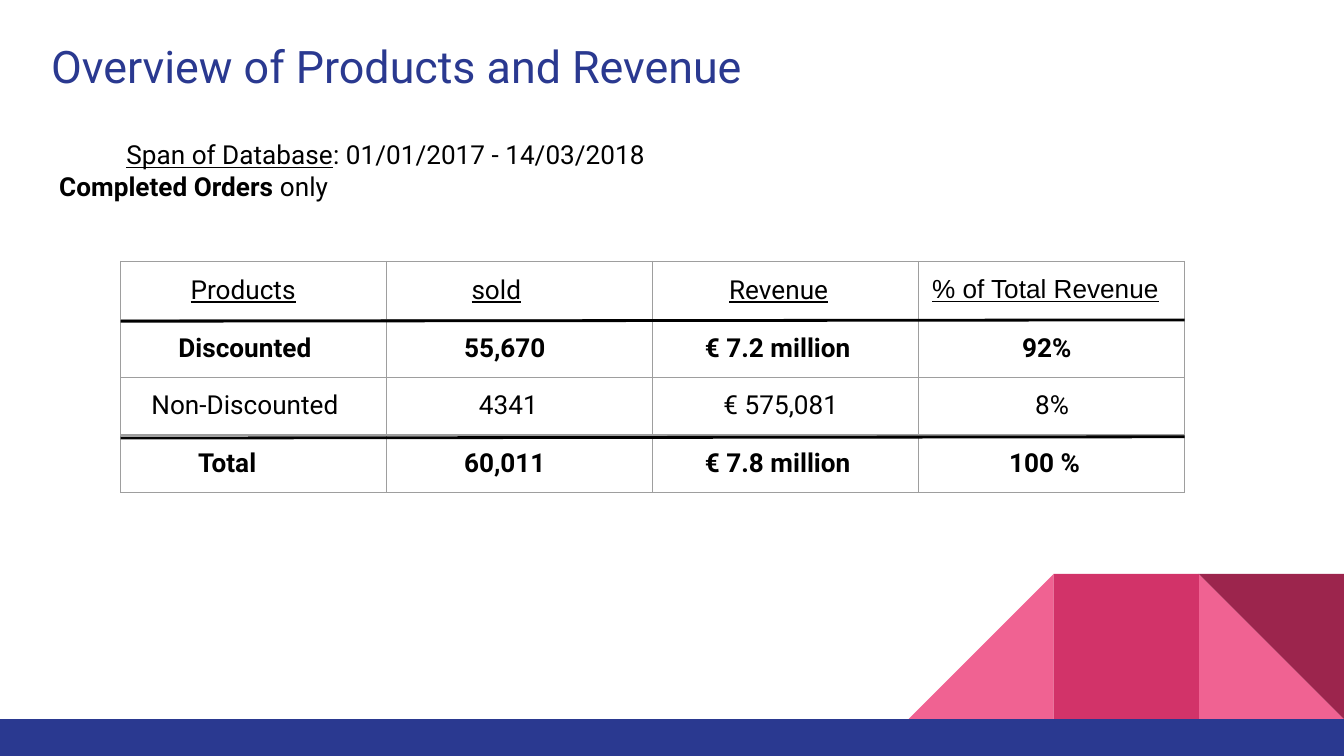
from lxml.etree import SubElement
from pptx import Presentation
from pptx.dml.color import RGBColor
from pptx.enum.shapes import MSO_CONNECTOR, MSO_SHAPE
from pptx.enum.text import MSO_ANCHOR, MSO_AUTO_SIZE, PP_ALIGN
from pptx.oxml.ns import qn
from pptx.util import Pt

NAVY, PINK, ROSE, WINE = "2A3990", "F06292", "D23369", "9C254D"
BLACK, GREY = "000000", "9E9E9E"
INSET = 7.2


def rgb(value):
    return RGBColor.from_string(value)


def add_text(paragraph, text, size=14, font="Roboto", color=BLACK, bold=False, underline=False):
    run = paragraph.add_run()
    run.text = text
    run.font.size = Pt(size)
    run.font.name = font
    run.font.color.rgb = rgb(color)
    run.font.bold = bold
    run.font.underline = underline


deck = Presentation()
deck.slide_width, deck.slide_height = Pt(720), Pt(405)
slide = deck.slides.add_slide(deck.slide_layouts[1])

# Corner decoration and bottom band
SIDE, CORNER_TOP, BAND_TOP = 77.75, 307.5, 385.25
corner_left = 720 - 3 * SIDE
decoration = [
    (MSO_SHAPE.RIGHT_TRIANGLE, corner_left + 2 * SIDE, CORNER_TOP, SIDE, SIDE, PINK, 0, False),
    (MSO_SHAPE.RIGHT_TRIANGLE, corner_left, CORNER_TOP, SIDE, SIDE, PINK, 0, True),
    (MSO_SHAPE.RECTANGLE, corner_left + SIDE, CORNER_TOP, SIDE, SIDE, ROSE, 0, False),
    (MSO_SHAPE.RIGHT_TRIANGLE, corner_left + 2 * SIDE, CORNER_TOP, SIDE, SIDE, WINE, 180, False),
    (MSO_SHAPE.RECTANGLE, 0, BAND_TOP, 720, 405 - BAND_TOP, NAVY, 0, False),
]
for kind, left, top, width, height, color, rotation, mirrored in decoration:
    piece = slide.shapes.add_shape(kind, Pt(left), Pt(top), Pt(width), Pt(height))
    piece.shadow.inherit = False
    piece.fill.solid()
    piece.fill.fore_color.rgb = rgb(color)
    piece.line.fill.background()
    piece.rotation = rotation
    if mirrored:
        piece._element.spPr.find(qn("a:xfrm")).set("flipH", "1")

# Heading and scope of the data
heading, scope = slide.shapes.title, slide.placeholders[1]
for holder, left, top, width, height in [
    (heading, 20.2, 13.7, 554.4, 44),
    (scope, 24.5, 67, 671, 112.3),
]:
    holder.left, holder.top, holder.width, holder.height = Pt(left), Pt(top), Pt(width), Pt(height)
    frame = holder.text_frame
    frame.word_wrap = True
    frame.auto_size = MSO_AUTO_SIZE.NONE
    frame.vertical_anchor = MSO_ANCHOR.TOP
    frame.margin_left = frame.margin_right = frame.margin_top = frame.margin_bottom = Pt(INSET)

heading_line = heading.text_frame.paragraphs[0]
heading_line.alignment = PP_ALIGN.LEFT
add_text(heading_line, "Overview of Products and Revenue", size=24, color=NAVY)

span_line = scope.text_frame.paragraphs[0]
orders_line = scope.text_frame.add_paragraph()
for line, indent in [(span_line, 36), (orders_line, 0)]:
    line.space_before = Pt(0)
    properties = line._p.get_or_add_pPr()
    properties.set("marL", "0")
    properties.set("indent", str(Pt(indent)))
    SubElement(properties, qn("a:buNone"))
add_text(span_line, "Span of Database", underline=True)
add_text(span_line, ": 01/01/2017 - 14/03/2018")
add_text(orders_line, "Completed Orders", bold=True)
add_text(orders_line, " only")

# Sales table: each entry is its text and its left margin
TABLE_LEFT, TABLE_TOP, COLUMN, ROW = 64.6, 140.1, 142.5, 30.9
sales = [
    [("Products", 37.5), ("sold", 45.5), ("Revenue", 41), ("% of Total Revenue", 7.2)],
    [("Discounted", 31), ("55,670", 41.5), ("€ 7.2 million", 28), ("92%", 55.5)],
    [("Non-Discounted", 16.5), ("4341", 49.5), ("€ 575,081", 38), ("8%", 62.5)],
    [("Total", 41.5), ("60,011", 41.5), ("€ 7.8 million", 28), ("100 %", 48.5)],
]
bold_rows = (1, 3)
table = slide.shapes.add_table(
    4, 4, Pt(TABLE_LEFT), Pt(TABLE_TOP), Pt(4 * COLUMN), Pt(4 * ROW)
).table
table.first_row = table.horz_banding = False
for column in table.columns:
    column.width = Pt(COLUMN)
for row_number, entries in enumerate(sales):
    table.rows[row_number].height = Pt(ROW)
    for column_number, (text, margin) in enumerate(entries):
        cell = table.cell(row_number, column_number)
        cell.margin_left = Pt(margin)
        cell.margin_right = Pt(0)
        cell.margin_top = cell.margin_bottom = Pt(INSET)
        add_text(
            cell.text_frame.paragraphs[0], text,
            font="Arial" if text == "% of Total Revenue" else "Roboto",
            bold=row_number in bold_rows, underline=row_number == 0,
        )
        cell_properties = cell._tc.get_or_add_tcPr()
        for edge in ("a:lnL", "a:lnR", "a:lnT", "a:lnB"):
            border = SubElement(cell_properties, qn(edge), w=str(Pt(0.75)))
            SubElement(SubElement(border, qn("a:solidFill")), qn("a:srgbClr"), val=GREY)
        cell.fill.background()

# Heavy rules below the header and above the total
for start, end in [(234.7, 234), (172.1, 171.4)]:
    rule = slide.shapes.add_connector(
        MSO_CONNECTOR.STRAIGHT, Pt(TABLE_LEFT), Pt(start), Pt(TABLE_LEFT + 4 * COLUMN), Pt(end)
    )
    rule.line.color.rgb = rgb(BLACK)
    rule.line.width = Pt(1.5)
    SubElement(rule._element.spPr, qn("a:effectLst"))

deck.save("out.pptx")
